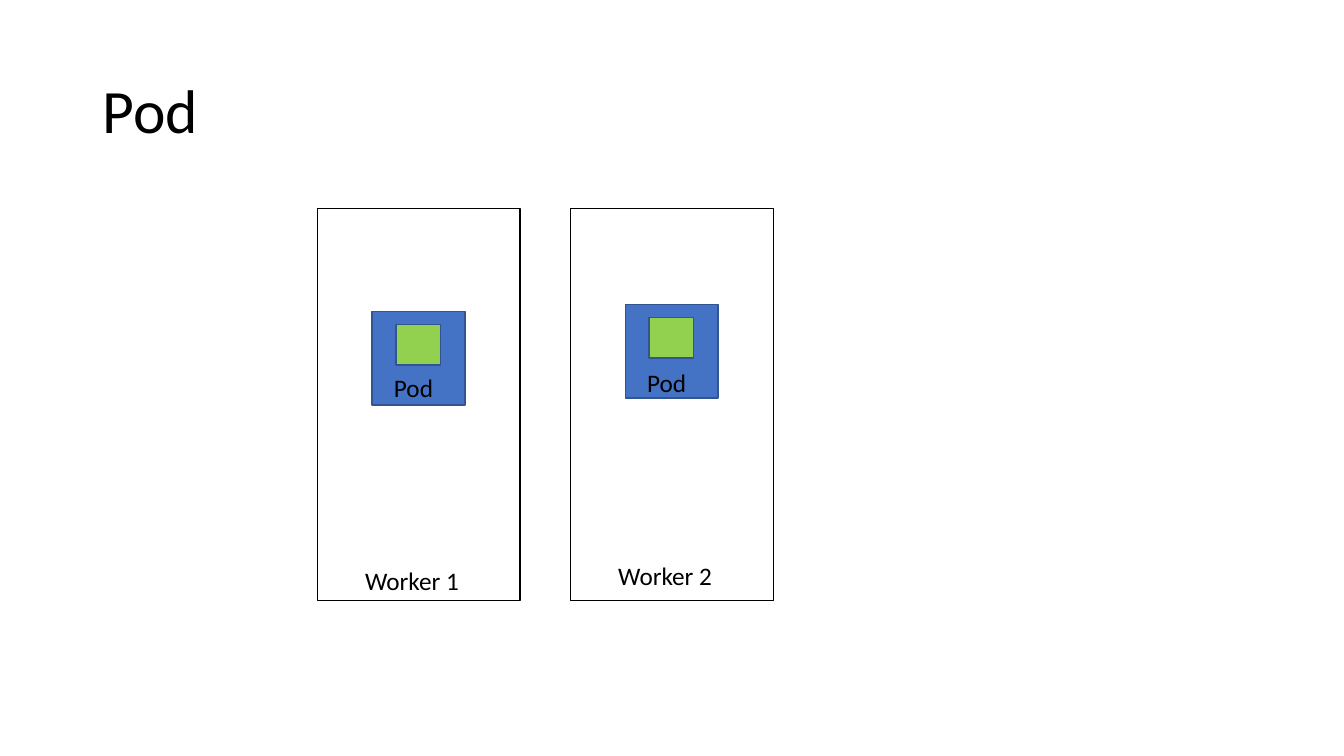
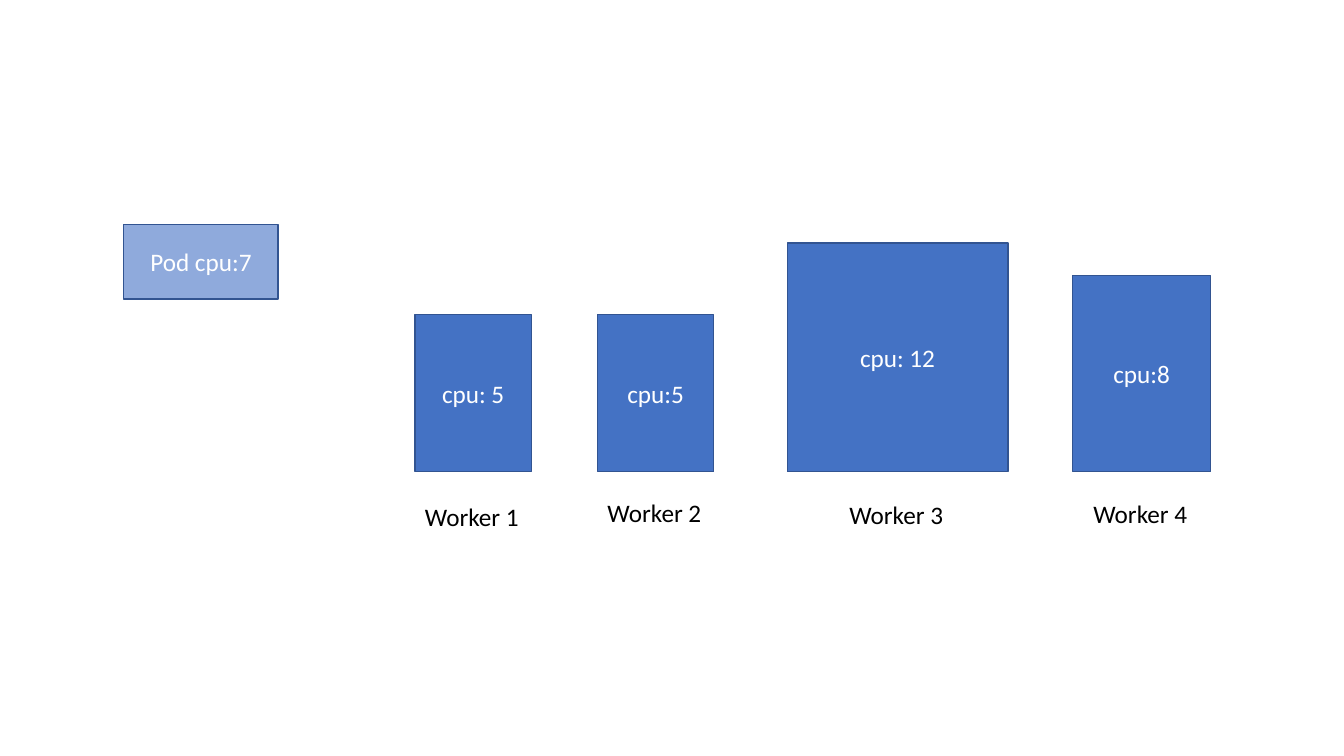
from pptx import Presentation
from pptx.dml.color import RGBColor
from pptx.enum.shapes import MSO_SHAPE
from pptx.enum.text import MSO_ANCHOR, MSO_AUTO_SIZE, PP_ALIGN
from pptx.util import Cm, Pt

RECTANGLE = MSO_SHAPE.RECTANGLE
MIDDLE = MSO_ANCHOR.MIDDLE
GROW = MSO_AUTO_SIZE.SHAPE_TO_FIT_TEXT
LEFT, CENTER = PP_ALIGN.LEFT, PP_ALIGN.CENTER

BLACK = RGBColor(0x00, 0x00, 0x00)
WHITE = RGBColor(0xFF, 0xFF, 0xFF)
BLUE = RGBColor(0x44, 0x72, 0xC4)
LIGHT_BLUE = RGBColor(0x8F, 0xAA, 0xDC)
DARK_BLUE = RGBColor(0x32, 0x54, 0x91)
GREEN = RGBColor(0x92, 0xD0, 0x50)

TITLE_ONLY, BLANK = 5, 6


class Deck:
    """Holds the shared style and the current page; lengths are in centimetres."""

    font = "Calibri"
    title_size = 44
    text_size = 18

    def __init__(self):
        self.deck = Presentation()
        self.deck.slide_width, self.deck.slide_height = Cm(33.87), Cm(19.05)
        self.page = None

    def add_page(self, layout):
        self.page = self.deck.slides.add_slide(self.deck.slide_layouts[layout])

    def set_text(self, shape, text, size, color, align):
        frame = shape.text_frame
        frame.word_wrap = True
        frame.text = text
        for para in frame.paragraphs:
            para.alignment = align
            for span in para.runs:
                span.font.name = self.font
                span.font.size = Pt(size)
                span.font.color.rgb = color

    def title(self, text):
        title = self.page.shapes.title
        title.left, title.top = Cm(2.33), Cm(1.03)
        title.width, title.height = Cm(29.21), Cm(3.68)
        self.set_text(title, text, self.title_size, BLACK, LEFT)
        title.text_frame.vertical_anchor = MIDDLE
        title.text_frame.paragraphs[0].line_spacing = 0.9

    def box(self, left, top, width, height, fill=BLUE, line=DARK_BLUE, text=""):
        box = self.page.shapes.add_shape(
            RECTANGLE, Cm(left), Cm(top), Cm(width), Cm(height))
        box.shadow.inherit = False
        box.fill.solid()
        box.fill.fore_color.rgb = fill
        box.line.color.rgb = line
        box.line.width = Pt(1)
        if text:
            self.set_text(box, text, self.text_size, WHITE, CENTER)
            box.text_frame.vertical_anchor = MIDDLE

    def label(self, text, left, top, width):
        label = self.page.shapes.add_textbox(
            Cm(left), Cm(top), Cm(width), Cm(1.02))
        self.set_text(label, text, self.text_size, BLACK, LEFT)
        label.text_frame.auto_size = GROW

    def save(self):
        self.deck.save("out.pptx")


def build_pod_page(deck):
    deck.add_page(TITLE_ONLY)
    deck.title("Pod")
    # name, worker left, pod top, pod label top, worker label top
    workers = [
        ("Worker 1", 8.0, 7.85, 9.25, 14.12),
        ("Worker 2", 14.38, 7.67, 9.12, 14.0),
    ]
    for name, left, pod_top, pod_label_top, name_top in workers:
        pod_left = left + 1.38
        deck.box(left, 5.26, 5.11, 9.88, WHITE, BLACK)
        deck.box(pod_left, pod_top, 2.34, 2.36)
        deck.box(pod_left + 0.6, pod_top + 0.33, 1.12, 1.02, GREEN)
        deck.label("Pod", pod_left + 0.3, pod_label_top, 2.03)
        deck.label(name, left + 0.95, name_top, 3.2)


def build_scheduling_page(deck):
    deck.add_page(BLANK)
    deck.box(3.12, 5.66, 3.89, 1.88, LIGHT_BLUE, text="Pod cpu:7")
    floor, label_width = 11.89, 2.93
    # name, capacity, left, width, height, label top
    workers = [
        ("Worker 1", "cpu: 5", 10.46, 2.93, 3.96, 12.5),
        ("Worker 2", "cpu:5", 15.06, 2.93, 3.96, 12.4),
        ("Worker 3", "cpu: 12", 19.84, 5.56, 5.77, 12.45),
        ("Worker 4", "cpu:8", 27.03, 3.48, 4.95, 12.42),
    ]
    for name, capacity, left, width, height, name_top in workers:
        deck.box(left, floor - height, width, height, text=capacity)
        deck.label(name, left + (width - label_width) / 2, name_top, label_width)


def main():
    deck = Deck()
    build_pod_page(deck)
    build_scheduling_page(deck)
    deck.save()


if __name__ == "__main__":
    main()
